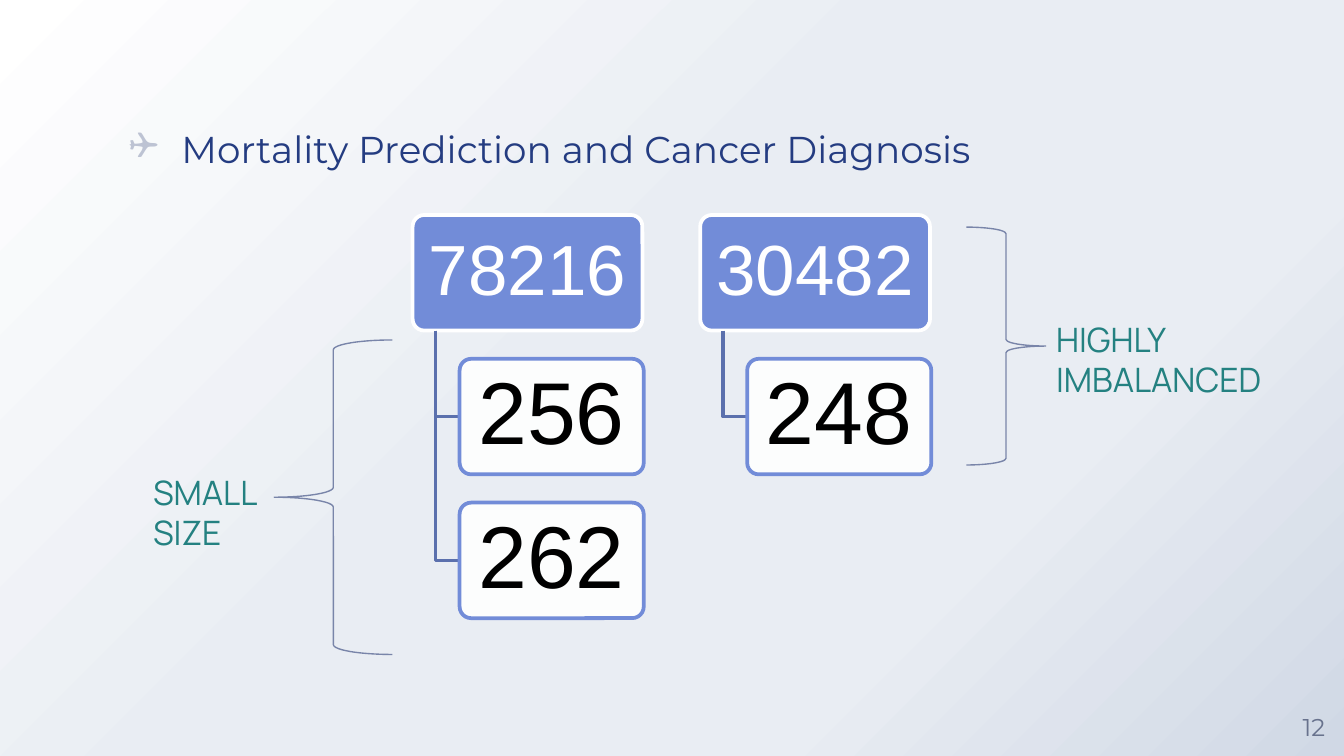
from lxml import etree
from pptx import Presentation
from pptx.dml.color import RGBColor
from pptx.enum.shapes import MSO_SHAPE
from pptx.enum.text import MSO_ANCHOR, MSO_AUTO_SIZE, PP_ALIGN
from pptx.oxml.ns import qn
from pptx.util import Inches, Pt

ROUNDED = MSO_SHAPE.ROUNDED_RECTANGLE
LEFT_BRACE, RIGHT_BRACE = MSO_SHAPE.LEFT_BRACE, MSO_SHAPE.RIGHT_BRACE
MIDDLE = MSO_ANCHOR.MIDDLE
CENTER, LEFT = PP_ALIGN.CENTER, PP_ALIGN.LEFT
GROW = MSO_AUTO_SIZE.SHAPE_TO_FIT_TEXT

COLORS = {
    "white": "FFFFFF", "black": "000000", "mist": "E9EDF3", "haze": "D0D8E5",
    "navy": "243C81", "bullet": "BDC3D3", "number": "68728D", "blue": "728CD8",
    "link": "5B70AD", "brace": "7985A9", "teal": "248181",
}
BACKGROUND_STOPS = [(0, "white"), (44, "mist"), (72, "mist"), (100, "haze")]
CARD_HEIGHT, ROW_STEP = 0.86, 1.07
HEAD_WIDTH, CHILD_WIDTH = 1.71, 1.37


def rgb(name):
    """Return the named colour."""
    return RGBColor.from_string(COLORS[name])


def write(shape, text, size, font, color, align=LEFT):
    """Put one styled paragraph in a shape and return it."""
    shape.text_frame.word_wrap = True
    shape.text_frame.text = text
    para = shape.text_frame.paragraphs[0]
    para.alignment = align
    span = para.runs[0].font
    span.size, span.name = Pt(size), font
    span.color.rgb = rgb(color)
    return para


def set_insets(frame, across, down):
    """Set the side and the top and bottom insets of a text frame."""
    frame.margin_left = frame.margin_right = Inches(across)
    frame.margin_top = frame.margin_bottom = Inches(down)


def paint_background(page):
    """Fill the page with a diagonal gradient."""
    fill = page.background.fill
    fill.gradient()
    fill.gradient_angle = 315
    stops = next(page.element.iter(qn("a:gsLst")))
    for stop in list(stops):
        stops.remove(stop)
    for position, color in BACKGROUND_STOPS:
        stop = etree.SubElement(stops, qn("a:gs"), pos=str(position * 1000))
        etree.SubElement(stop, qn("a:srgbClr"), val=COLORS[color])


def add_heading(page, left, top, width, height):
    """Add the bulleted heading."""
    box = page.shapes.add_textbox(*map(Inches, (left, top, width, height)))
    set_insets(box.text_frame, 0, 0)
    para = write(box, "Mortality Prediction and Cancer Diagnosis", 20, "Montserrat", "navy")
    para.line_spacing = 1.2
    properties = para._p.get_or_add_pPr()
    properties.set("marL", str(Inches(0.5)))
    properties.set("indent", str(Inches(-0.39)))
    tint = etree.SubElement(properties, qn("a:buClr"))
    etree.SubElement(tint, qn("a:srgbClr"), val=COLORS["bullet"])
    etree.SubElement(properties, qn("a:buFont"), typeface="Wingdings", charset="2")
    etree.SubElement(properties, qn("a:buChar"), char="❑")


def add_page_number(page, left, top, side):
    """Add the page number in a square box."""
    box = page.shapes.add_textbox(*map(Inches, (left, top, side, side)))
    set_insets(box.text_frame, 0, 0)
    box.text_frame.vertical_anchor = MIDDLE
    write(box, "12", 13, "Montserrat", "number", CENTER)


def add_card(page, left, top, width, text, size, fill, line, ink, insets):
    """Add one rounded card with a centred number."""
    card = page.shapes.add_shape(ROUNDED, *map(Inches, (left, top, width, CARD_HEIGHT)))
    card.shadow.inherit = False
    card.adjustments[0] = 0.1
    card.fill.solid()
    card.fill.fore_color.rgb = rgb(fill)
    card.line.color.rgb = rgb(line)
    card.line.width = Pt(2)
    set_insets(card.text_frame, *insets)
    card.text_frame.vertical_anchor = MIDDLE
    write(card, text, size, "Arial", ink, CENTER).line_spacing = 0.9
    return card


def add_link(page, left, top, right, bottom):
    """Add an elbow line from a head card down to a child card."""
    builder = page.shapes.build_freeform(Inches(left), Inches(top))
    corner, end = (Inches(left), Inches(bottom)), (Inches(right), Inches(bottom))
    builder.add_line_segments([corner, end], close=False)
    link = builder.convert_to_shape()
    link.shadow.inherit = False
    link.fill.background()
    link.line.color.rgb = rgb("link")
    link.line.width = Pt(2)


def add_hierarchy(page, left, top, head, children):
    """Add a head card with its child cards hanging below it."""
    add_card(page, left, top, HEAD_WIDTH, head, 38, "blue", "white", "white", (0.08, 0.05))
    child_left = left + 0.35
    for row, number in enumerate(children, start=1):
        child_top = top + row * ROW_STEP
        add_link(page, left + 0.17, top + CARD_HEIGHT, child_left, child_top + CARD_HEIGHT / 2)
        card = add_card(page, child_left, child_top, CHILD_WIDTH, number, 47,
                        "white", "blue", "black", (0.1, 0.07))
        color = card.fill._xPr.find(qn("a:solidFill"))[0]
        etree.SubElement(color, qn("a:alpha"), val="90000")


def add_brace(page, kind, left, top, width, height):
    """Add a thin curly brace."""
    brace = page.shapes.add_shape(kind, *map(Inches, (left, top, width, height)))
    brace.shadow.inherit = False
    brace.fill.background()
    brace.line.color.rgb = rgb("brace")
    brace.line.width = Pt(0.75)


def add_remark(page, left, top, width, height, text):
    """Add the remark that belongs to a brace."""
    box = page.shapes.add_textbox(*map(Inches, (left, top, width, height)))
    write(box, text, 18, "Manrope", "teal")
    box.text_frame.auto_size = GROW


def main():
    """Build the slide and save it."""
    deck = Presentation()
    deck.slide_width = Inches(10)
    deck.slide_height = deck.slide_width * 9 // 16
    page = deck.slides.add_slide(deck.slide_layouts[6])
    paint_background(page)
    add_heading(page, 0.85, 0.87, 8.3, 4)
    add_page_number(page, 9.55, 5.18, 0.45)
    add_hierarchy(page, 3.07, 1.6, "78216", ["256", "262"])
    add_hierarchy(page, 5.21, 1.6, "30482", ["248"])
    add_brace(page, LEFT_BRACE, 2.04, 2.53, 0.88, 2.34)
    add_remark(page, 1.04, 3.46, 1.32, 0.71, "SMALL SIZE")
    add_brace(page, RIGHT_BRACE, 7.19, 1.69, 0.59, 1.77)
    add_remark(page, 7.76, 2.32, 1.79, 0.71, "HIGHLY IMBALANCED")
    deck.save("out.pptx")


if __name__ == "__main__":
    main()
